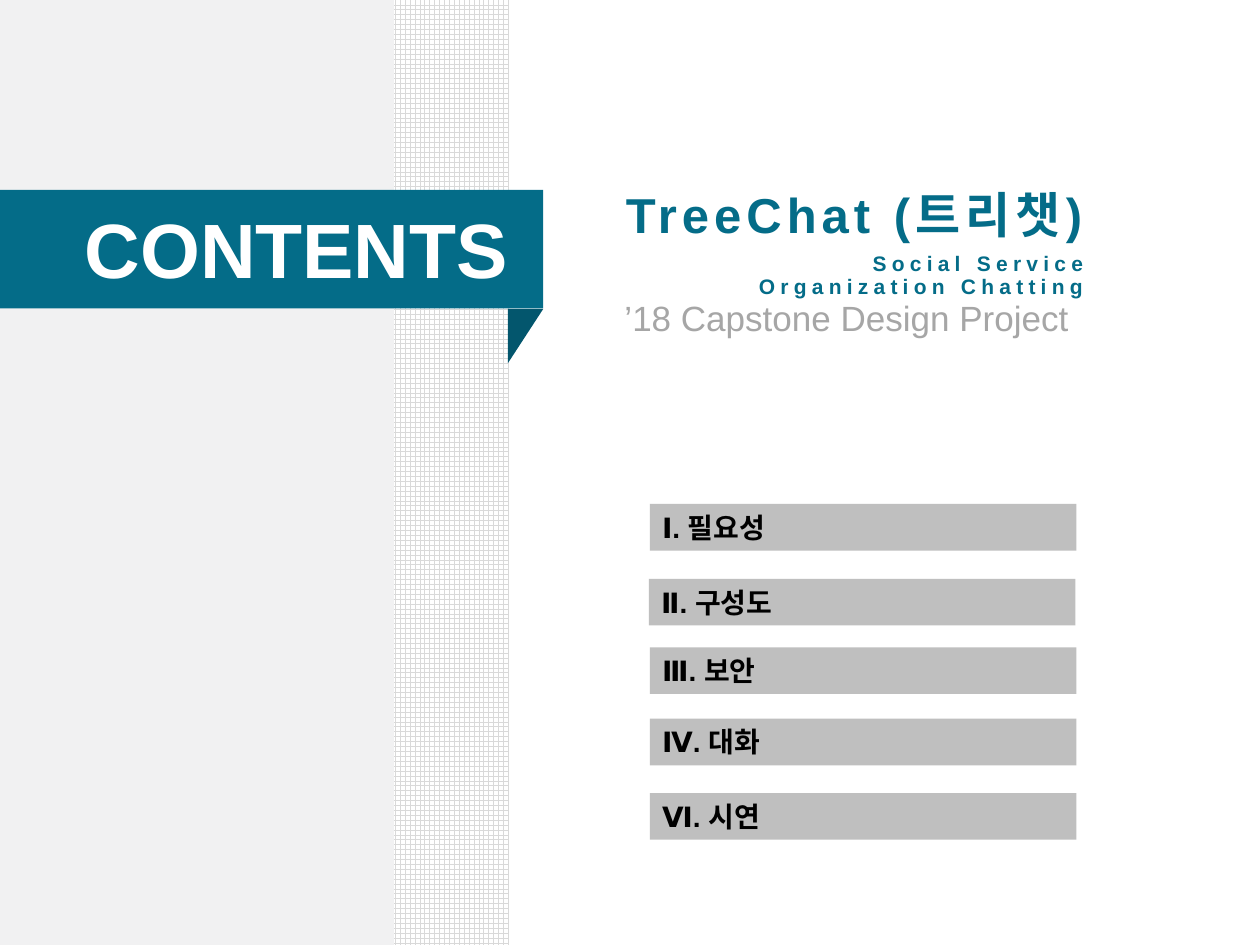
from dataclasses import dataclass, field

from pptx import Presentation
from pptx.dml.color import RGBColor
from pptx.enum.dml import MSO_PATTERN
from pptx.enum.shapes import MSO_SHAPE as Preset
from pptx.enum.text import MSO_ANCHOR as Anchor, PP_ALIGN as Align
from pptx.util import Cm, Pt

TEAL = "046C88"


@dataclass
class Block:
    left: float
    top: float
    width: float
    height: float
    fill: str
    preset: Preset = Preset.RECTANGLE
    rotation: float = 0


@dataclass
class Caption:
    left: float
    top: float
    width: float
    height: float
    lines: list[str]
    font: dict
    color: str = TEAL
    spacing: int = 0
    para: dict = field(default_factory=dict)
    frame: dict = field(default_factory=dict)


def color(value: str) -> RGBColor:
    return RGBColor.from_string(value)


def apply(target, values: dict) -> None:
    for name, value in values.items():
        setattr(target, name, value)


def bounds(item) -> list:
    return [Cm(value) for value in (item.left, item.top, item.width, item.height)]


def draw_block(page, block: Block):
    shape = page.shapes.add_shape(block.preset, *bounds(block))
    shape.shadow.inherit = False
    shape.line.fill.background()
    shape.fill.solid()
    shape.fill.fore_color.rgb = color(block.fill)
    shape.rotation = block.rotation
    return shape


def write(frame, caption: Caption) -> None:
    apply(frame, {"word_wrap": False} | caption.frame)
    for index, line in enumerate(caption.lines):
        para = frame.add_paragraph() if index else frame.paragraphs[0]
        apply(para, caption.para)
        span = para.add_run()
        span.text = line
        apply(span.font, {"name": "Arial"} | caption.font)
        span.font.color.rgb = color(caption.color)
        if caption.spacing:
            span._r.get_or_add_rPr().set("spc", str(caption.spacing))


def draw_caption(page, caption: Caption) -> None:
    write(page.shapes.add_textbox(*bounds(caption)).text_frame, caption)


def draw_entry(page, left: float, top: float, label: str) -> None:
    size = {"width": 8.6, "height": 0.94}
    bar = draw_block(page, Block(left, top, fill="BFBFBF", **size))
    write(bar.text_frame, Caption(
        left, top, lines=[label], font={"size": Pt(16), "bold": True}, color="000000",
        para={"alignment": Align.LEFT},
        frame={"word_wrap": True, "vertical_anchor": Anchor.TOP}, **size))


deck = Presentation()
deck.slide_width, deck.slide_height = Cm(25.4), Cm(19.05)
page = deck.slides.add_slide(deck.slide_layouts[6])

grid = draw_block(page, Block(2.03, 0, 8.23, 19.05, "FFFFFF"))
grid.fill.patterned()
grid.fill.pattern = MSO_PATTERN.LARGE_GRID
grid.fill.fore_color.rgb = color("D9D9D9")
grid.fill.back_color.rgb = color("FFFFFF")

for block in (
    Block(0, 0, 7.94, 19.05, "F1F1F2"),
    Block(0, 3.83, 10.95, 2.39, TEAL),
    Block(10.05, 6.42, 1.09, 0.71, "03566D", Preset.RIGHT_TRIANGLE, 90),
):
    draw_block(page, block)

HEADING = {"left": 12.34, "width": 9.75}
for caption in (
    Caption(top=4.98, height=0.99, lines=["Social Service", "Organization Chatting"],
            font={"size": Pt(12), "bold": True}, spacing=300,
            para={"alignment": Align.RIGHT, "line_spacing": 0.9}, **HEADING),
    Caption(1.0, 4.08, 9.5, 1.98, ["CONTENTS"], {"size": Pt(44), "bold": True}, "FFFFFF",
            para={"alignment": Align.RIGHT}, frame={"vertical_anchor": Anchor.BOTTOM}),
    Caption(top=5.94, height=1.07, lines=["’18 Capstone Design Project"],
            font={"size": Pt(20)}, color="A6A6A6", para={"line_spacing": 0.9}, **HEADING),
    Caption(11.59, 3.73, 11.25, 1.24, ["TreeChat (트리챗)"],
            {"size": Pt(28), "bold": True}, spacing=290,
            para={"alignment": Align.CENTER, "line_spacing": 0.9}),
):
    draw_caption(page, caption)

for left, top, label in (
    (13.1, 10.16, "Ⅰ. 필요성"),
    (13.08, 11.67, "Ⅱ. 구성도"),
    (13.1, 13.05, "Ⅲ. 보안"),
    (13.1, 14.49, "Ⅳ. 대화"),
    (13.1, 15.99, "Ⅵ. 시연"),
):
    draw_entry(page, left, top, label)

deck.save("out.pptx")
